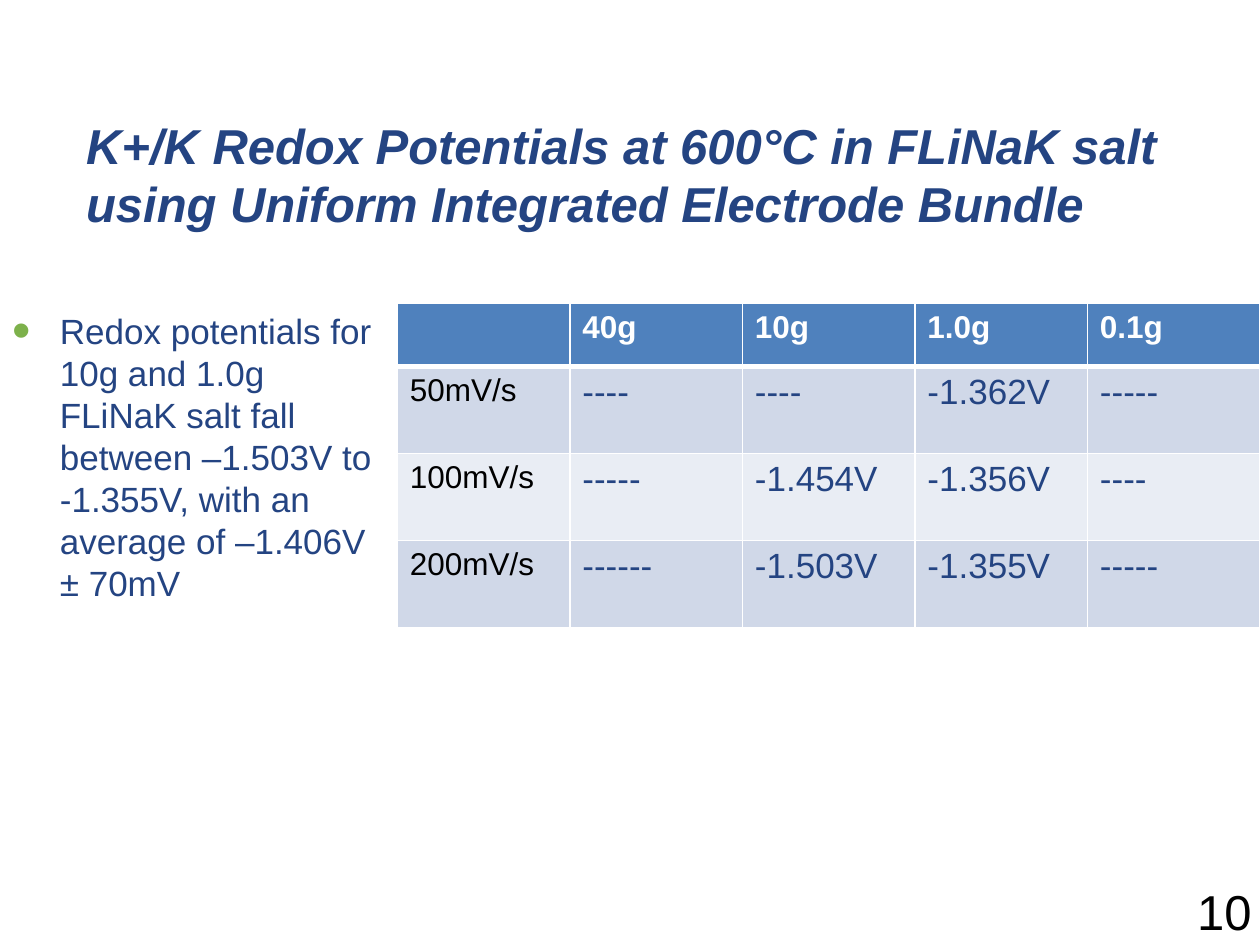
from lxml.etree import SubElement
from pptx import Presentation
from pptx.dml.color import RGBColor
from pptx.enum.text import MSO_ANCHOR, MSO_AUTO_SIZE, PP_ALIGN
from pptx.oxml.ns import qn
from pptx.util import Pt

COLORS = {
    "navy": "244482",
    "green": "7DB14B",
    "header": "4F81BD",
    "odd_row": "D0D8E8",
    "even_row": "E9EDF4",
    "white": "FFFFFF",
    "black": "000000",
}


def write(text_frame, text, size, color="navy", bold=False, italic=False, line_spacing=None):
    text_frame.word_wrap = True
    paragraph = text_frame.paragraphs[0]
    paragraph.alignment = PP_ALIGN.LEFT
    paragraph.space_before = Pt(0)
    if line_spacing:
        paragraph.line_spacing = Pt(line_spacing)
    run = paragraph.add_run()
    run.text = text
    run.font.name = "Arial"
    run.font.size = Pt(size)
    run.font.bold = bold
    run.font.italic = italic
    run.font.color.rgb = RGBColor.from_string(COLORS[color])
    return paragraph


def add_border(cell, side, width):
    properties = cell._tc.get_or_add_tcPr()
    line = SubElement(properties, qn(f"a:{side}"), w=str(Pt(width)))
    fill = SubElement(line, qn("a:solidFill"))
    SubElement(fill, qn("a:srgbClr"), val=COLORS["white"])


presentation = Presentation()
presentation.slide_width = Pt(720)
presentation.slide_height = Pt(540)
slide = presentation.slides.add_slide(presentation.slide_layouts[1])

title = slide.shapes.title
title.left, title.top, title.width, title.height = Pt(42), Pt(63), Pt(634), Pt(143)
title.text_frame.vertical_anchor = MSO_ANCHOR.TOP
title.text_frame.auto_size = MSO_AUTO_SIZE.NONE
write(
    title.text_frame,
    "K+/K Redox Potentials at 600°C in FLiNaK salt using Uniform Integrated Electrode Bundle",
    size=28, bold=True, italic=True, line_spacing=33,
)

body = slide.placeholders[1]
body.left, body.top, body.width, body.height = Pt(0), Pt(173), Pt(227), Pt(291)
body.text_frame.auto_size = MSO_AUTO_SIZE.NONE
paragraph = write(
    body.text_frame,
    "Redox potentials for 10g and 1.0g FLiNaK salt fall between –1.503V to -1.355V, "
    "with an average of –1.406V ± 70mV",
    size=20, line_spacing=24,
)
properties = paragraph._p.get_or_add_pPr()
properties.set("marL", str(Pt(27)))
properties.set("indent", str(Pt(-27)))
bullet_color = SubElement(properties, qn("a:buClr"))
SubElement(bullet_color, qn("a:srgbClr"), val=COLORS["green"])
SubElement(properties, qn("a:buSzPct"), val="150000")
SubElement(properties, qn("a:buFont"), typeface="Arial")
SubElement(properties, qn("a:buChar"), char="•")

potentials = [
    ["", "40g", "10g", "1.0g", "0.1g"],
    ["50mV/s", "----", "----", "-1.362V", "-----"],
    ["100mV/s", "-----", "-1.454V", "-1.356V", "----"],
    ["200mV/s", "------", "-1.503V", "-1.355V", "-----"],
]
row_heights = [36, 49.7, 49.7, 49.7]
row_fills = ["header", "odd_row", "even_row", "odd_row"]
table = slide.shapes.add_table(
    len(potentials), len(potentials[0]), Pt(227), Pt(173.5), Pt(493), Pt(sum(row_heights))
).table
for column in table.columns:
    column.width = Pt(98.6)
for row_index, values in enumerate(potentials):
    table.rows[row_index].height = Pt(row_heights[row_index])
    for column_index, value in enumerate(values):
        cell = table.cell(row_index, column_index)
        add_border(cell, "lnL", 1)
        add_border(cell, "lnR", 1)
        add_border(cell, "lnT", 3 if row_index == 1 else 1)
        add_border(cell, "lnB", 3 if row_index == 0 else 1)
        cell.fill.solid()
        cell.fill.fore_color.rgb = RGBColor.from_string(COLORS[row_fills[row_index]])
        if row_index == 0:
            style = {"size": 18, "color": "white", "bold": True}
        elif column_index == 0:
            style = {"size": 18, "color": "black"}
        else:
            style = {"size": 20}
        if value:
            write(cell.text_frame, value, **style)

page_number = slide.shapes.add_textbox(Pt(677), Pt(500), Pt(168), Pt(29))
write(page_number.text_frame, "10", size=28, color="black")

presentation.save("out.pptx")
